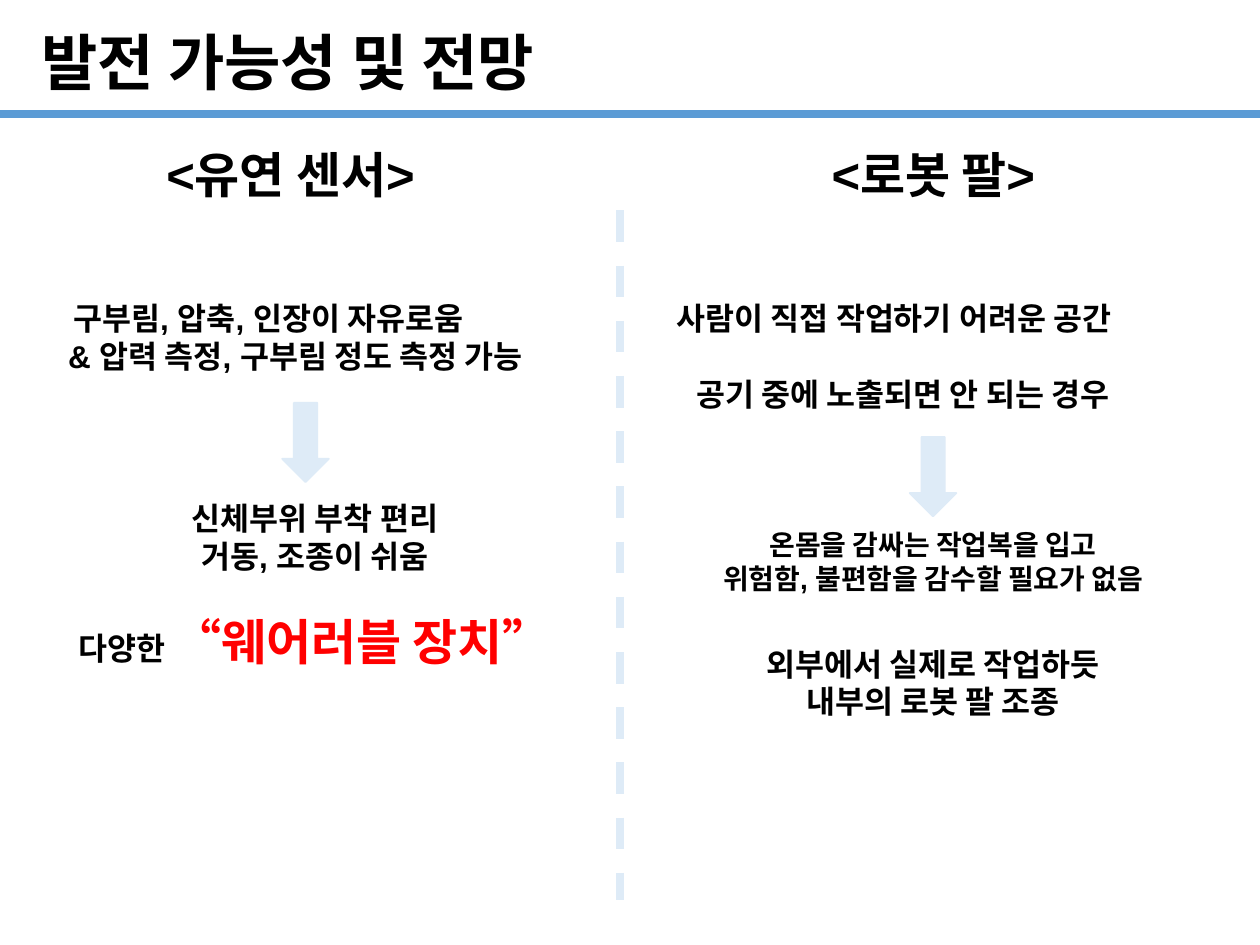
import pptx
import pptx.dml.color
import pptx.enum.dml
import pptx.enum.shapes
import pptx.enum.text
import pptx.oxml.ns
import pptx.util
from lxml import etree

Cm, Pt = pptx.util.Cm, pptx.util.Pt
ALIGN = pptx.enum.text.PP_ALIGN
COLORS = {"ink": "000000", "rule": "5B9BD5", "pale": "DEEBF7", "key": "FF0000"}


def color(name):
    return pptx.dml.color.RGBColor.from_string(COLORS[name])


def place(shape, left, top, width, height):
    shape.left, shape.top = Cm(left), Cm(top)
    shape.width, shape.height = Cm(width), Cm(height)


def write(frame, rows, size=18, font="Arial", align=ALIGN.LEFT):
    """Fill a frame; each row is (runs, left indent in cm, space before in pt),
    and each run is (text, changes of size and colour)."""
    frame.word_wrap = True
    frame.auto_size = pptx.enum.text.MSO_AUTO_SIZE.NONE
    frame.vertical_anchor = pptx.enum.text.MSO_ANCHOR.TOP
    for num, (runs, indent, gap) in enumerate(rows):
        para = frame.paragraphs[0] if num == 0 else frame.add_paragraph()
        props = para._p.get_or_add_pPr()
        props.set("marL", str(Cm(indent)))
        props.set("indent", "0")
        etree.SubElement(props, pptx.oxml.ns.qn("a:buNone"))
        para.alignment = align
        para.space_before = Pt(gap)
        for text, look in runs:
            run = para.add_run()
            run.text = text
            run.font.name = font
            run.font.bold = True
            run.font.size = Pt(look.get("size", size))
            run.font.color.rgb = color(look.get("ink", "ink"))


def row(text, indent=0, gap=0):
    return [(text, {})], indent, gap


def add_line(slide, ends, ink):
    line = slide.shapes.add_connector(
        pptx.enum.shapes.MSO_CONNECTOR.STRAIGHT, *[Cm(val) for val in ends])
    line.line.color.rgb = color(ink)
    line.line.width = Pt(4.5)
    etree.SubElement(line._element.spPr, pptx.oxml.ns.qn("a:effectLst"))
    return line


def add_arrow(slide, left, top):
    arrow = slide.shapes.add_shape(
        pptx.enum.shapes.MSO_SHAPE.DOWN_ARROW, Cm(left), Cm(top), Cm(0.94), Cm(1.6))
    arrow.shadow.inherit = False
    arrow.fill.solid()
    arrow.fill.fore_color.rgb = color("pale")
    arrow.line.color.rgb = color("pale")
    arrow.line.width = Pt(1)


def add_header(slide):
    title = slide.shapes.title
    place(title, 0, 0.36, 15.95, 1.75)
    write(title.text_frame, [row("발전 가능성 및 전망", 0.58)], size=35, font="Calibri")
    add_line(slide, (0, 2.29, 25.4, 2.29), "rule")


def add_panel(slide, left, top, width, first, head, facts, arrow, notes):
    """Lay out one column; first is the index of its heading placeholder."""
    text, inset, wide = head
    box = slide.placeholders[first]
    place(box, left + inset, top, wide, 1.45)
    write(box.text_frame, [row(text)], size=28)

    rows, inset, high = facts
    box = slide.placeholders[first + 1]
    place(box, left + inset, top + 3.12, width, high)
    write(box.text_frame, rows)

    add_arrow(slide, left + arrow[0], top + arrow[1])
    for rows, drop, high, size in notes:
        box = slide.shapes.add_textbox(
            Cm(left), Cm(top + drop), Cm(width), Cm(high))
        write(box.text_frame, rows, size=size, align=ALIGN.CENTER)


def main():
    deck = pptx.Presentation()
    deck.slide_width, deck.slide_height = Cm(25.4), Cm(19.05)
    slide = deck.slides.add_slide(deck.slide_layouts.get_by_name("Comparison"))
    add_header(slide)
    split = add_line(slide, (12.5, 4.24, 12.5, 18.14), "pale")
    split.line.dash_style = pptx.enum.dml.MSO_LINE.DASH

    add_panel(
        slide, 0.51, 2.79, 11.4, 1,
        head=("<유연 센서>", 2.59, 6.5),
        facts=([row("구부림, 압축, 인장이 자유로움", 0.28),
                row("& 압력 측정, 구부림 정도 측정 가능", 0.18)], 0.43, 1.8),
        arrow=(5.18, 5.33),
        notes=[([row("신체부위 부착 편리", 0.28),
                 row("거동, 조종이 쉬움", 0.28),
                 ([("다양한 ", {}),
                   ("“웨어러블 장치”", {"size": 28, "ink": "key"})], 0.28, 21.5)],
                7.14, 3.76, 18)])
    add_panel(
        slide, 13.11, 2.79, 11.4, 3,
        head=("<로봇 팔>", 3.4, 5.8),
        facts=([row("사람이 직접 작업하기 어려운 공간", 0.28),
                row("공기 중에 노출되면 안 되는 경우", 0.68, 21.5)], 0, 2.56),
        arrow=(5.23, 6.02),
        notes=[([row("온몸을 감싸는 작업복을 입고"),
                 row("위험함, 불편함을 감수할 필요가 없음")], 7.72, 1.63, 16),
               ([row("외부에서 실제로 작업하듯"),
                 row("내부의 로봇 팔 조종")], 10.08, 1.8, 18)])
    deck.save("out.pptx")


if __name__ == "__main__":
    main()
